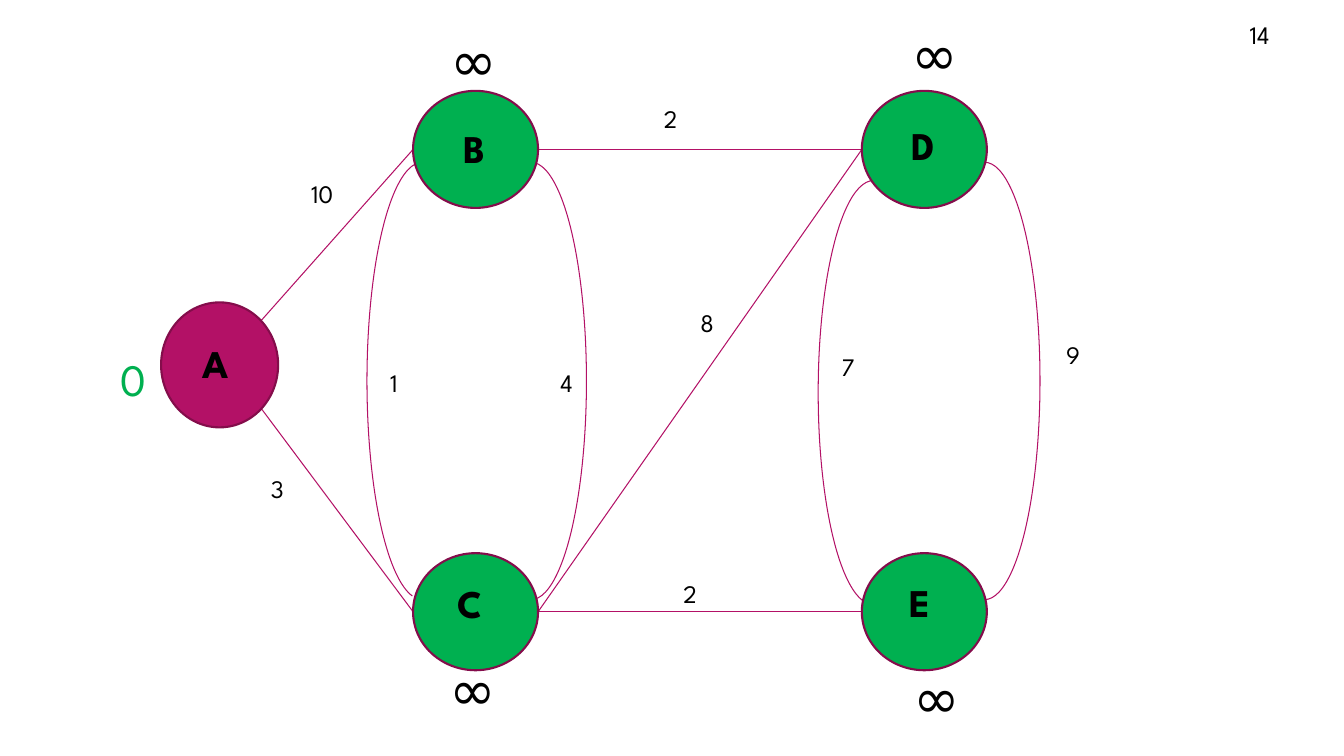
from pptx import Presentation
from pptx.dml.color import RGBColor
from pptx.enum.shapes import MSO_CONNECTOR, MSO_SHAPE
from pptx.enum.text import MSO_AUTO_SIZE
from pptx.util import Cm, Pt
from lxml.etree import SubElement
from pptx.oxml.ns import qn

PINK = RGBColor(0xB3, 0x11, 0x66)
PLUM = RGBColor(0x84, 0x0D, 0x4B)
GREEN = RGBColor(0x00, 0xB0, 0x50)
BLACK = RGBColor(0, 0, 0)
FONT = "League Spartan"

deck = Presentation()
deck.slide_width, deck.slide_height = Cm(33.87), Cm(19.05)
slide = deck.slides.add_slide(deck.slide_layouts[6])
shapes = slide.shapes


def write(text, x, y, w, h, size=18, color=BLACK, bold=False, wrap=True):
    box = shapes.add_textbox(Cm(x), Cm(y), Cm(w), Cm(h))
    frame = box.text_frame
    frame.word_wrap = wrap
    frame.auto_size = MSO_AUTO_SIZE.SHAPE_TO_FIT_TEXT
    run = frame.paragraphs[0].add_run()
    run.text = text
    run.font.name = FONT
    run.font.size = Pt(size)
    run.font.bold = bold
    run.font.color.rgb = color


wide, tall = 3.15, 2.95
left, right = 10.41, 21.72
top, low = 2.29, 13.94
edge = left + wide
high, deep = top + tall / 2, low + tall / 2

arcs = [
    (20.62, 4.55, 10.69, 53.23, 162.72),
    (9.25, 4.09, 11.02, 55.6, 162),
    (23.42, 4.09, 11.02, 161.23, 54),
    (11.99, 4.09, 11.02, 161.23, 54),
]
for x, y, h, start, end in arcs:
    arc = shapes.add_shape(MSO_SHAPE.ARC, Cm(x), Cm(y), Cm(2.79), Cm(h))
    arc.adjustments[0], arc.adjustments[1] = start, end
    arc.shadow.inherit = False
    arc.fill.background()
    arc.line.color.rgb = PINK
    arc.line.width = Pt(0.75)

edges = [
    (6.58, 8.08, left, high),
    (6.58, 10.29, left, deep),
    (edge, high, right, high),
    (edge, deep, right, deep),
    (edge, deep, right, high),
]
for ends in edges:
    line = shapes.add_connector(MSO_CONNECTOR.STRAIGHT, *map(Cm, ends))
    line.line.color.rgb = PINK
    line.line.width = Pt(0.75)
    SubElement(line._element.spPr, qn("a:effectLst"))

nodes = [(4.06, 7.62, tall, wide, PINK)]
nodes += [(x, y, wide, tall, GREEN) for x in (left, right) for y in (top, low)]
for x, y, w, h, color in nodes:
    node = shapes.add_shape(MSO_SHAPE.OVAL, Cm(x), Cm(y), Cm(w), Cm(h))
    node.shadow.inherit = False
    node.fill.solid()
    node.fill.fore_color.rgb = color
    node.line.color.rgb = PLUM
    node.line.width = Pt(1.5)

names = [
    ("A", 4.85, 8.43),
    ("B", 11.43, 3.02),
    ("C", 11.28, 14.48),
    ("D", 22.71, 2.92),
    ("E", 22.68, 14.45),
]
for name, x, y in names:
    write(name, x, y, 1.42, 1.45, size=28, bold=True)

for x, y in [(11.1, 0.53), (22.71, 0.38), (22.78, 16.56), (11.07, 16.38)]:
    write("∞", x, y, 1.52, 1.96, size=40, wrap=False)
write("0", 2.79, 8.74, 0.64, 1.63, size=32, color=GREEN)

costs = [
    ("10", 7.59, 4.37, 2.69),
    ("3", 6.58, 11.81, 1.68),
    ("1", 9.58, 9.14, 0.76),
    ("4", 13.87, 9.12, 1.85),
    ("2", 16.48, 2.49, 1.7),
    ("8", 17.4, 7.62, 0.91),
    ("2", 16.97, 14.45, 1.6),
    ("7", 20.96, 8.74, 1.47),
    ("9", 26.62, 8.43, 0.91),
]
for cost, x, y, w in costs:
    write(cost, x, y, w, 1.02)
write("14", 31.24, 0.36, 1.93, 1.02)

deck.save("out.pptx")
